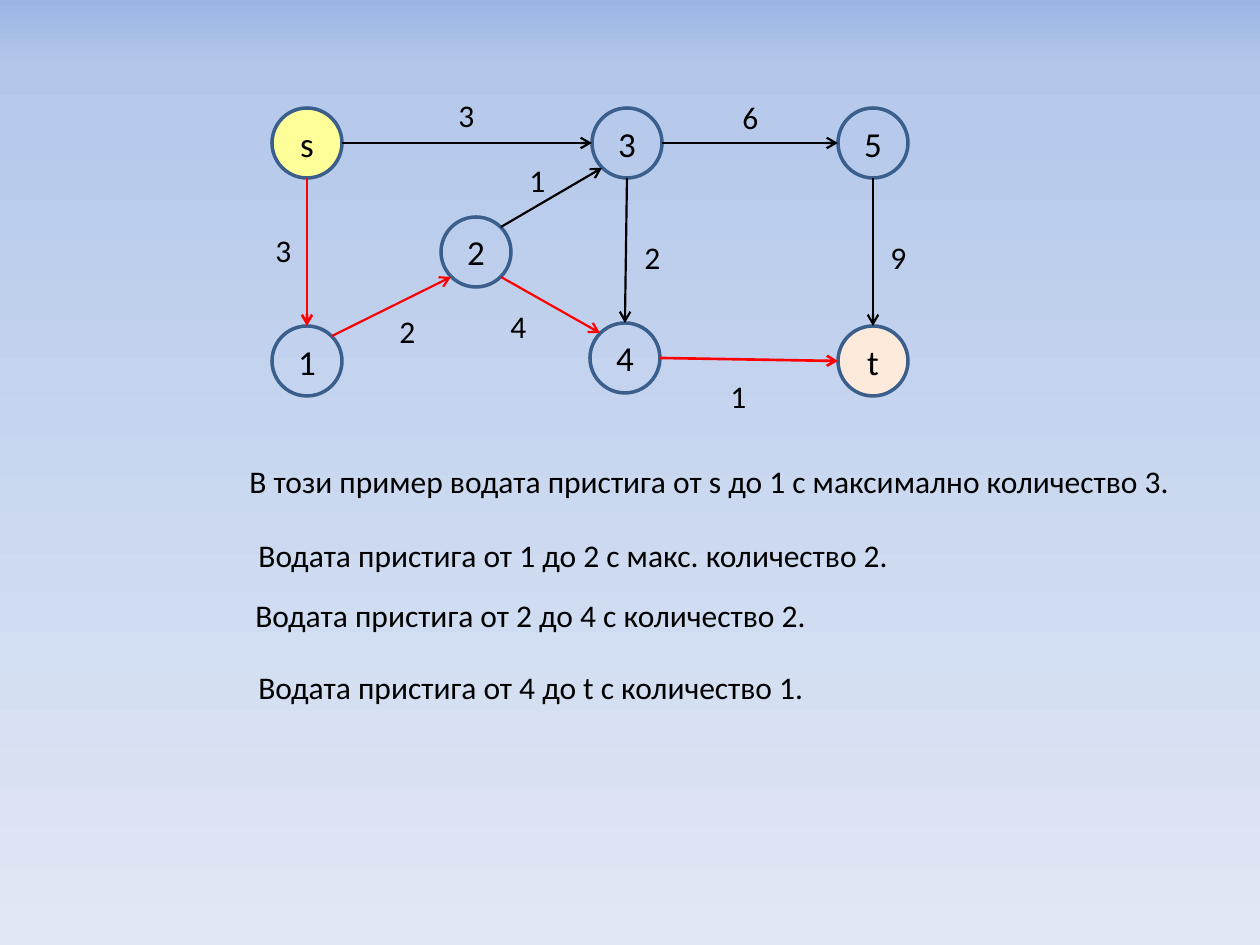
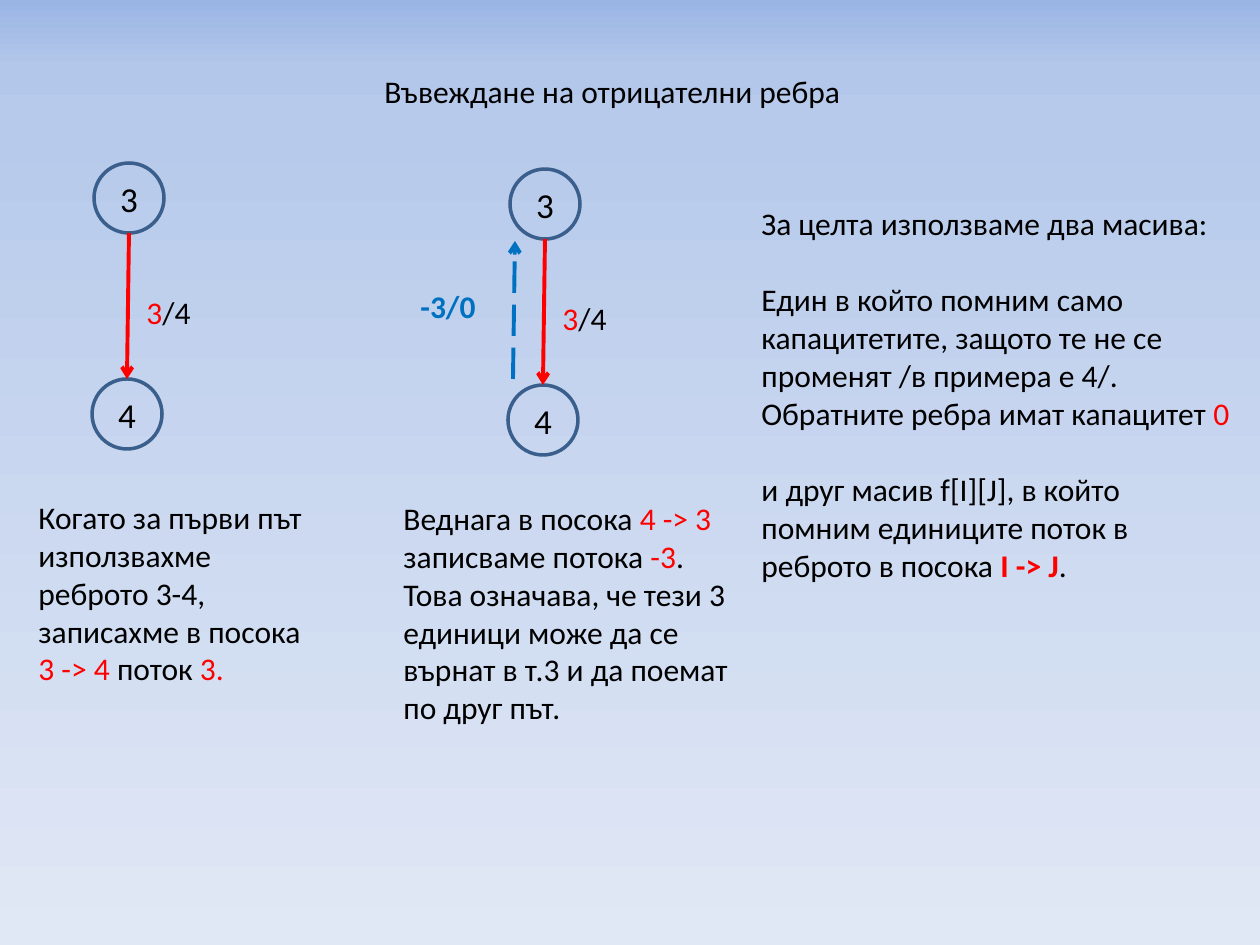
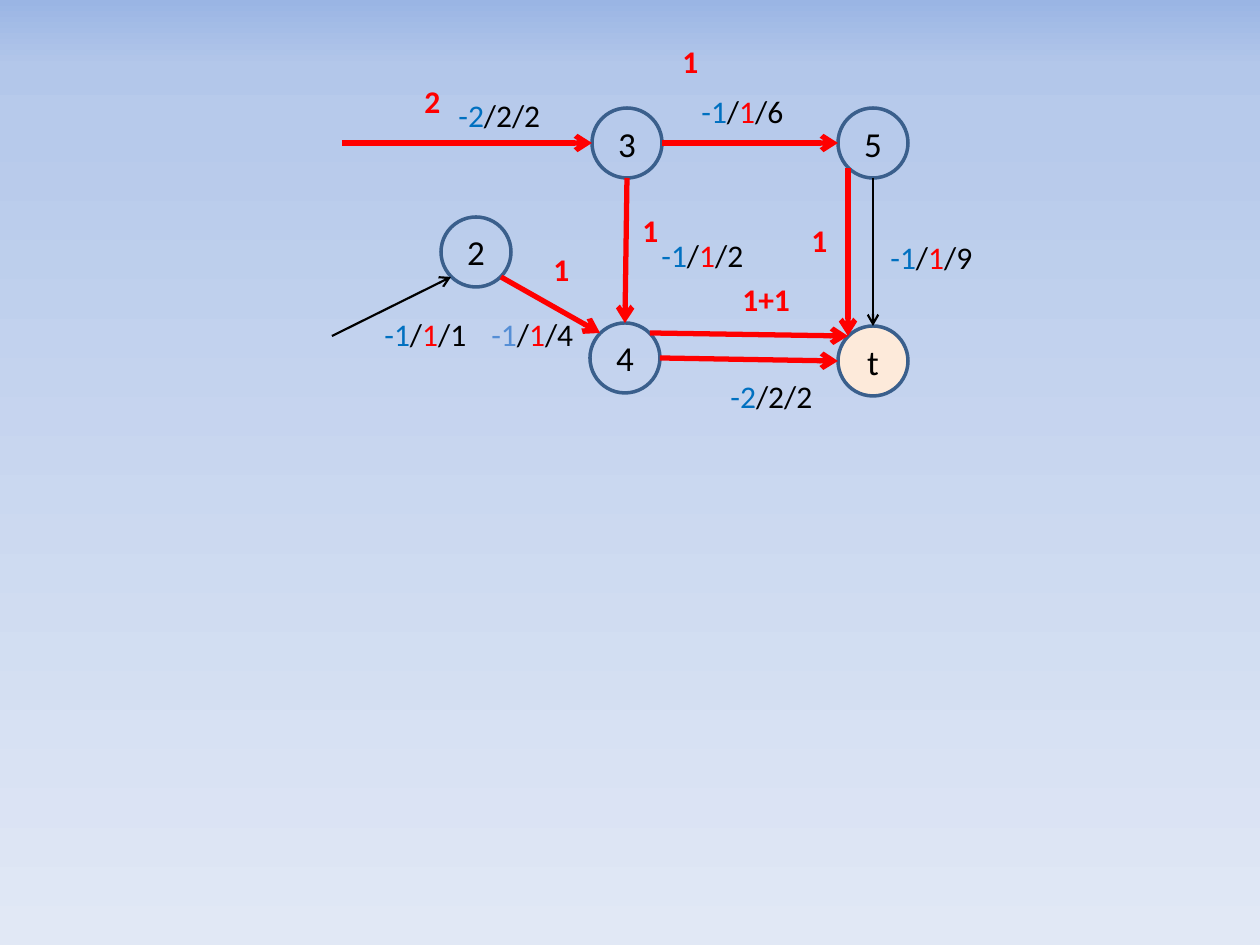
from lxml.etree import SubElement
from pptx import Presentation
from pptx.dml.color import RGBColor
from pptx.enum.dml import MSO_LINE
from pptx.enum.shapes import MSO_CONNECTOR, MSO_SHAPE
from pptx.enum.text import MSO_ANCHOR, MSO_AUTO_SIZE, PP_ALIGN
from pptx.oxml.ns import qn
from pptx.util import Emu, Pt

SCALE = 914400 // 126
BLACK = RGBColor(0x00, 0x00, 0x00)
RED = RGBColor(0xFF, 0x00, 0x00)
BLUE = RGBColor(0x00, 0x70, 0xC0)
SKY = RGBColor(0x55, 0x8E, 0xD5)
RIM = RGBColor(0x3A, 0x5F, 0x8C)
YELLOW = RGBColor(0xFF, 0xFF, 0x99)
PEACH = RGBColor(0xFD, 0xEA, 0xDA)
STOPS = [(0, "9AB5E4"), (7, "B3C7EA"), (13, "B7CAEB"), (100, "E1E8F5")]
FONT = "Calibri"

RADIUS = 35
DIAG = 25  # offset of a diagonal port on the rim
FILLS = {"s": YELLOW, "t": PEACH}

# Centres of the nodes of the flow network
NET = {"s": (307, 143), "3": (627, 143), "5": (873, 143), "2": (476, 252),
       "1": (307, 361), "4": (625, 358), "t": (873, 361)}


def px(n):
    return Emu(n * SCALE)


def port(centre, side):
    """Point on a node's rim at a compass side such as N or SW."""
    step = DIAG if len(side) == 2 else RADIUS
    dx = ("E" in side) - ("W" in side)
    dy = ("S" in side) - ("N" in side)
    return centre[0] + dx * step, centre[1] + dy * step


def red(text, bold=False):
    return text, RED, bold


def blue(text, bold=False):
    return text, BLUE, bold


class Deck:
    def __init__(self):
        self.prs = Presentation()
        self.prs.slide_width, self.prs.slide_height = px(1260), px(945)
        self.paint()

    def paint(self):
        """Shared gradient background, set on the master."""
        master = self.prs.slide_master
        fill = master.background.fill
        fill.gradient()
        fill.gradient_angle = 270
        stops = next(master.element.iter(qn("a:gsLst")))
        for old in list(stops):
            stops.remove(old)
        for pos, tint in STOPS:
            stop = SubElement(stops, qn("a:gs"), pos=str(pos * 1000))
            SubElement(stop, qn("a:srgbClr"), val=tint)

    def slide(self):
        self.page = self.prs.slides.add_slide(self.prs.slide_layouts[6])
        self.shapes = self.page.shapes

    def group(self):
        self.shapes = self.page.shapes.add_group_shape().shapes

    def ungroup(self):
        self.shapes = self.page.shapes

    def style(self, para, size, color=BLACK, bold=False):
        font = para.font
        font.name, font.size, font.bold = FONT, Pt(size), bold
        font.color.rgb = color

    def node(self, name, centre):
        x, y = centre
        oval = self.shapes.add_shape(MSO_SHAPE.OVAL, px(x - RADIUS), px(y - RADIUS),
                                     px(2 * RADIUS), px(2 * RADIUS))
        oval.shadow.inherit = False
        if name in FILLS:
            oval.fill.solid()
            oval.fill.fore_color.rgb = FILLS[name]
        else:
            oval.fill.background()
        oval.line.color.rgb = RIM
        oval.line.width = Pt(2)
        frame = oval.text_frame
        frame.vertical_anchor = MSO_ANCHOR.MIDDLE
        para = frame.paragraphs[0]
        para.text = name
        para.alignment = PP_ALIGN.CENTER
        self.style(para, 20)

    def arrow(self, start, end, color=BLACK, width=1.25, dash=None):
        line = self.shapes.add_connector(MSO_CONNECTOR.STRAIGHT,
                                         *map(px, start + end))
        line.line.color.rgb = color
        line.line.width = Pt(width)
        if dash:
            line.line.dash_style = dash
        SubElement(line.line._get_or_add_ln(), qn("a:tailEnd"), type="arrow")
        SubElement(line._element.spPr, qn("a:effectLst"))

    def text(self, x, y, w, *paras, h=50, wrap=True, gap=0):
        """Each paragraph is a list of plain strings and (text, color, bold)."""
        box = self.shapes.add_textbox(px(x), px(y), px(w), px(h))
        frame = box.text_frame
        frame.word_wrap = wrap
        frame.auto_size = MSO_AUTO_SIZE.SHAPE_TO_FIT_TEXT
        for i, parts in enumerate(paras):
            para = frame.add_paragraph() if i else frame.paragraphs[0]
            if i and gap:
                para.space_before = Pt(gap)
            parts = [(p, BLACK, False) if isinstance(p, str) else p for p in parts]
            base = parts[0][1:] if len(parts) == 1 else (BLACK, False)
            self.style(para, 18, *base)
            for words, color, bold in parts:
                run = para.add_run()
                run.text = words
                if color != base[0]:
                    run.font.color.rgb = color
                if bold != base[1]:
                    run.font.bold = bold

    def network(self, names, edges):
        for name in names:
            self.node(name, NET[name])
        for a, out, b, into, color, width in edges:
            self.arrow(port(NET[a], out), port(NET[b], into), color, width)


deck = Deck()

# Slide 1: first path through the network
deck.slide()
deck.network("s3145t2", [
    ("s", "E", "3", "W", BLACK, 1.25),
    ("3", "E", "5", "W", BLACK, 1.25),
    ("5", "S", "t", "N", BLACK, 1.25),
    ("2", "NE", "3", "SW", BLACK, 1.25),
    ("s", "S", "1", "N", RED, 1.5),
    ("1", "NE", "2", "SW", RED, 1.25),
    ("2", "SE", "4", "NW", RED, 1.25),
    ("3", "S", "4", "N", BLACK, 1.25),
    ("4", "E", "t", "W", RED, 1.5),
])
for x, y, cap in [(446, 90, "3"), (730, 92, "6"), (878, 232, "9"),
                  (632, 232, "2"), (718, 371, "1"), (387, 306, "2"),
                  (263, 225, "3"), (517, 155, "1"), (498, 301, "4")]:
    deck.text(x, y, 59, [cap])
for x, y, w, words in [
    (237, 456, 956, "В този пример водата пристига от s до 1 с максимално количество 3."),
    (246, 530, 663, "Водата пристига от 1 до 2 с макс. количество 2."),
    (243, 590, 595, "Водата пристига от 2 до 4 с количество 2."),
    (246, 662, 595, "Водата пристига от 4 до t с количество 1."),
]:
    deck.text(x, y, w, [words], wrap=False)

# Slide 2: negative edges
deck.slide()


def pair(x, y):
    """Nodes 3 and 4 joined by an edge with flow 3 of 4."""
    top, low = (x, y), (x - 2, y + 216)
    deck.node("3", top)
    deck.node("4", low)
    deck.text(x + 5, y + 89, 92, [red("3"), "/4"])
    deck.arrow(port(top, "S"), port(low, "N"), RED, 2.25)


deck.group()
pair(129, 198)
deck.text(26, 492, 307,
          ["Когато за първи път използвахме реброто 3-4, записахме в посока ",
           red("3 -> 4 "), "поток ", red("3.")], h=204)

deck.group()
deck.arrow((513, 379), (515, 241), BLUE, 2.25, MSO_LINE.LONG_DASH)
pair(545, 204)
deck.text(391, 493, 359,
          ["Веднага в посока ", red("4 -> 3 "), "записваме потока ", red("-3"), "."],
          ["Това означава, че тези 3 единици може да се върнат в т.3 "
           "и да поемат по друг път."], h=242)
deck.text(408, 281, 106, [blue("-3/0", True)])

deck.ungroup()
deck.text(749, 198, 496,
          ["За целта използваме два масива:"],
          ["Един в който помним само капацитетите, защото те не се променят "
           "/в примера е 4/. Обратните ребра имат капацитет ", red("0")],
          ["и друг масив f[I][J], в който помним единиците поток в реброто в посока ",
           red("I -> J", True), "."], h=432, gap=22)
deck.text(372, 66, 486, ["Въвеждане на отрицателни ребра"], wrap=False)

# Slide 3: flows with reverse edges
deck.slide()
deck.network("345t2", [
    ("s", "E", "3", "W", RED, 3),
    ("3", "E", "5", "W", RED, 3),
    ("5", "S", "t", "N", BLACK, 1.25),
    ("1", "NE", "2", "SW", BLACK, 1.25),
    ("2", "SE", "4", "NW", RED, 3),
    ("3", "S", "4", "N", RED, 3),
    ("4", "E", "t", "W", RED, 3),
    ("4", "NE", "t", "NW", RED, 3),
    ("5", "SW", "t", "NW", RED, 3),
])
for x, y, w in [(446, 90, 136), (718, 371, 120)]:
    deck.text(x, y, w, [blue("-2"), "/2/2"])
for x, y, w, cap, tint in [(878, 232, 218, "9", BLUE), (689, 86, 130, "6", BLUE),
                           (649, 230, 117, "2", BLUE), (372, 309, 118, "1", BLUE),
                           (479, 309, 111, "4", SKY)]:
    deck.text(x, y, w, [("-1", tint, False), "/", red("1"), "/" + cap])
for x, y, w, flow in [(541, 244, 42, "1"), (730, 274, 73, "1+1"), (412, 76, 42, "2"),
                      (670, 36, 42, "1"), (630, 205, 42, "1"), (799, 215, 42, "1")]:
    deck.text(x, y, w, [red(flow, True)], wrap=False)

deck.prs.save("out.pptx")
